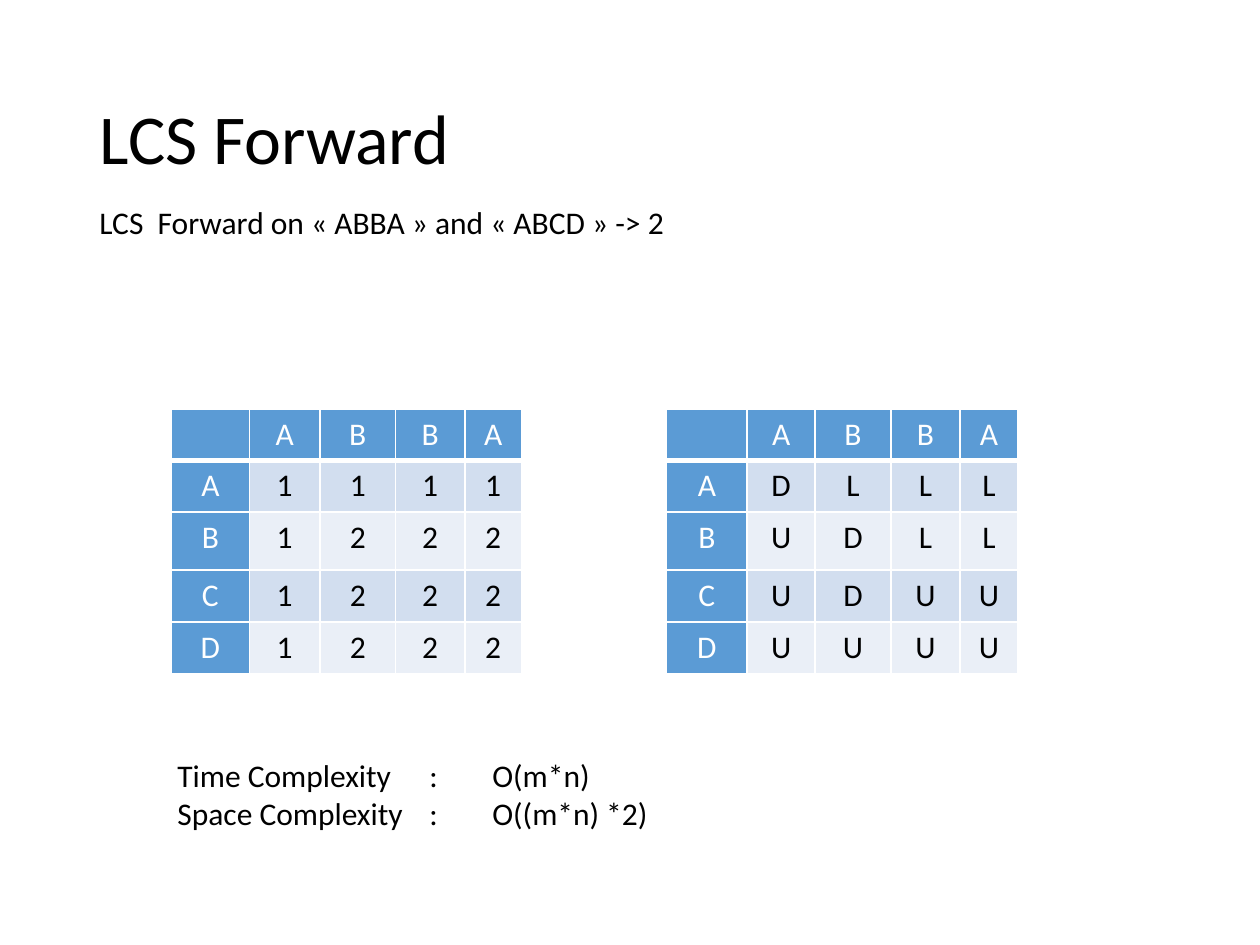
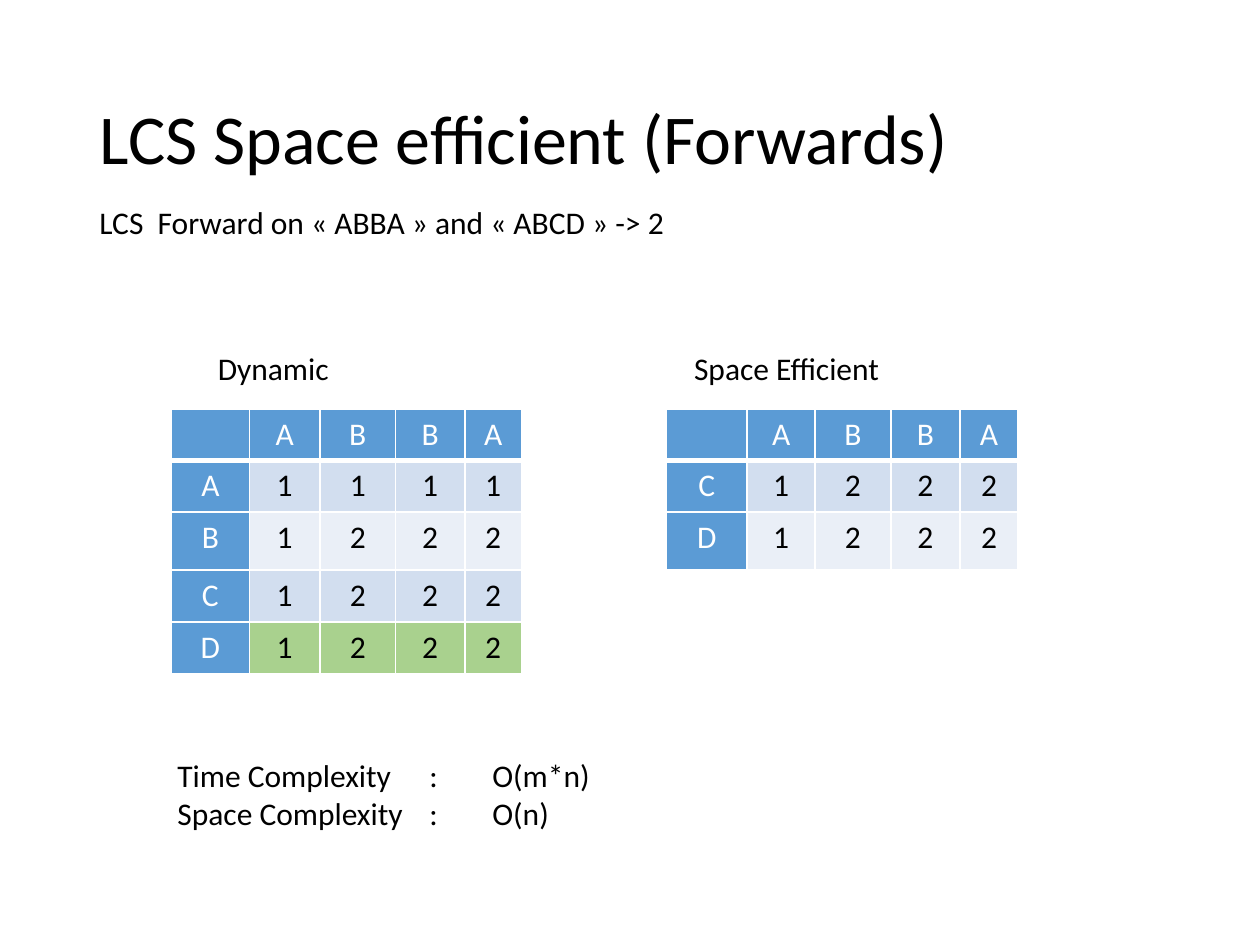
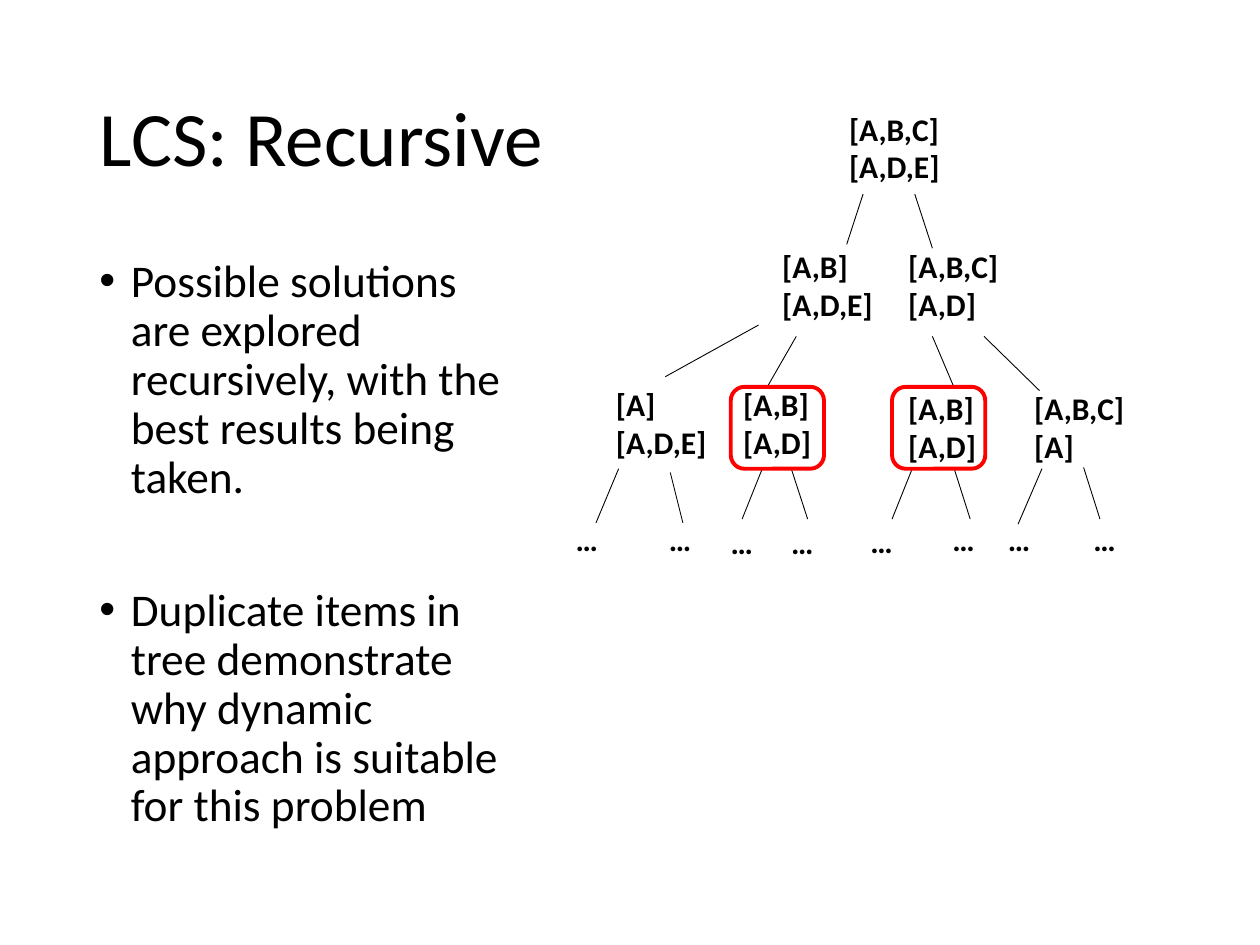
from lxml.etree import SubElement
from pptx import Presentation
from pptx.dml.color import RGBColor
from pptx.enum.shapes import MSO_CONNECTOR as Connector, MSO_SHAPE as Preset
from pptx.enum.text import MSO_ANCHOR as Anchor, MSO_AUTO_SIZE as AutoSize, PP_ALIGN as Align
from pptx.oxml.ns import qn
from pptx.util import Inches, Pt

BLACK = RGBColor(0x00, 0x00, 0x00)
WHITE = RGBColor(0xFF, 0xFF, 0xFF)
RED = RGBColor(0xFF, 0x00, 0x00)
HEADER_BLUE = RGBColor(0x5B, 0x9B, 0xD5)
BANDS = (RGBColor(0xD2, 0xDE, 0xEF), RGBColor(0xEA, 0xEF, 0xF7))
RESULT_GREEN = RGBColor(0xA9, 0xD1, 0x8E)

FONT = "Calibri"
GRID_COLUMNS, GRID_ROWS = 100, 75
TITLE_ONLY = 5
MARGIN = 6.9

TABLE_TOP = 32.5
ROW_HEIGHTS = (4, 4.1, 4.6, 4.1, 4.1)
LEFT_TABLE = (13.6, (6.2, 5.6, 6, 5.5, 4.5))
RIGHT_TABLE = (52.9, (6.4, 5.4, 6, 5.5, 4.6))
LENGTHS = ("1111", "1222", "1222", "1222")
DIRECTIONS = ("DLLL", "UDLL", "UDUU", "UUUU")


def assign(target, values):
    """Set every attribute of the target that the dict names."""
    for name, value in values.items():
        setattr(target, name, value)


class Deck:
    """Holds the presentation, its style and the current slide."""

    def __init__(self):
        """Start an empty presentation with its grid."""
        self.presentation = Presentation()
        assign(self.presentation, {"slide_width": Inches(10), "slide_height": Inches(7.5)})
        self.column = self.presentation.slide_width / GRID_COLUMNS
        self.row = self.presentation.slide_height / GRID_ROWS
        self.slide = None

    def place(self, *lengths):
        """Turn alternating columns and rows into lengths."""
        units = (self.column, self.row)
        return [round(value * units[i % 2]) for i, value in enumerate(lengths)]

    def style_text(self, paragraph, text, size=18, color=BLACK, bold=False, **layout):
        """Put formatted text in a paragraph."""
        assign(paragraph, layout)
        run = paragraph.add_run()
        run.text = text
        assign(run.font, {"name": FONT, "size": Pt(size), "bold": bold})
        run.font.color.rgb = color

    def add_slide(self, title, size=40):
        """Add a slide and format its title."""
        layout = self.presentation.slide_layouts[TITLE_ONLY]
        self.slide = self.presentation.slides.add_slide(layout)
        shape = self.slide.shapes.title
        left, top, width, height = self.place(MARGIN, 4, 86.2, 14.5)
        assign(shape, {"left": left, "top": top, "width": width, "height": height})
        assign(shape.text_frame, {"vertical_anchor": Anchor.MIDDLE, "auto_size": AutoSize.NONE})
        self.style_text(shape.text_frame.paragraphs[0], title, size,
                        alignment=Align.LEFT, line_spacing=0.9)

    def frame(self, box, wrap=True, auto_size=AutoSize.SHAPE_TO_FIT_TEXT):
        """Add a text box and return its frame."""
        text_frame = self.slide.shapes.add_textbox(*self.place(*box)).text_frame
        assign(text_frame, {"word_wrap": wrap, "auto_size": auto_size})
        return text_frame

    def text(self, box, *lines, wrap=True, bold=False):
        """Add a text box with one paragraph for each line."""
        text_frame = self.frame(box, wrap)
        for i, line in enumerate(lines):
            paragraph = text_frame.add_paragraph() if i else text_frame.paragraphs[0]
            self.style_text(paragraph, line, bold=bold, alignment=Align.LEFT)

    def bullets(self, box, items, size, gap):
        """Add a bulleted list with a gap between its items."""
        text_frame = self.frame(box, auto_size=AutoSize.NONE)
        for i, item in enumerate(items):
            paragraph = text_frame.add_paragraph() if i else text_frame.paragraphs[0]
            self.style_text(paragraph, item, size, alignment=Align.LEFT,
                            line_spacing=0.9, space_before=Pt(gap if i else 10))
            properties = paragraph._p.get_or_add_pPr()
            properties.set("marL", str(Inches(0.25)))
            properties.set("indent", str(-Inches(0.25)))
            SubElement(properties, qn("a:buFont")).set("typeface", "Arial")
            SubElement(properties, qn("a:buChar")).set("char", "•")

    def cell(self, cell, text, fill, color, bottom):
        """Fill a table cell, with white borders and centred text."""
        properties = cell._tc.get_or_add_tcPr()
        for side, width in (("L", 1), ("R", 1), ("T", 1), ("B", bottom)):
            border = SubElement(properties, qn("a:ln" + side), w=str(Pt(width)))
            solid = SubElement(border, qn("a:solidFill"))
            SubElement(solid, qn("a:srgbClr"), val=str(WHITE))
        cell.fill.solid()
        cell.fill.fore_color.rgb = fill
        if text:
            self.style_text(cell.text_frame.paragraphs[0], text, color=color,
                            alignment=Align.CENTER)

    def table(self, position, row_letters, values, last_fill=None):
        """Add an LCS table: ABBA across, the row letters down."""
        left, widths = position
        heights = ROW_HEIGHTS[:len(values) + 1]
        table = self.slide.shapes.add_table(
            len(heights), len(widths),
            *self.place(left, TABLE_TOP, sum(widths), sum(heights))).table
        table.horz_banding = False
        for column, width in zip(table.columns, widths):
            column.width = round(width * self.column)
        for row, height in zip(table.rows, heights):
            row.height = round(height * self.row)
        lines = [["", *"ABBA"]] + [[a, *b] for a, b in zip(row_letters, values)]
        for i, line in enumerate(lines):
            band = BANDS[(i - 1) % 2]
            if last_fill and i == len(values):
                band = last_fill
            for j, text in enumerate(line):
                header = i == 0 or j == 0
                self.cell(table.cell(i, j), text, HEADER_BLUE if header else band,
                          WHITE if header else BLACK, bottom=1 if i else 3)

    def line(self, start, end):
        """Draw a thin straight branch."""
        connector = self.slide.shapes.add_connector(
            Connector.STRAIGHT, *self.place(*start, *end))
        connector.line.width = Pt(0.5)
        connector.line.color.rgb = BLACK
        SubElement(connector.element.spPr, qn("a:effectLst"))

    def highlight(self, box):
        """Draw a red rounded outline."""
        shape = self.slide.shapes.add_shape(Preset.ROUNDED_RECTANGLE, *self.place(*box))
        shape.shadow.inherit = False
        shape.fill.background()
        shape.line.width = Pt(2.25)
        shape.line.color.rgb = RED

    def example(self, space):
        """Add the example line and the complexity lines."""
        self.text((MARGIN, 15.6, 53.8, 4),
                  "LCS  Forward on «\u00a0ABBA\u00a0» and «\u00a0ABCD\u00a0» -> 2")
        self.text((13.1, 59.5, 86, 7.1),
                  "Time Complexity \t:\tO(m*n)", f"Space Complexity \t: \t{space}")


def forward_slide(deck):
    """Build the slide with the length and direction tables."""
    deck.add_slide("LCS Forward")
    deck.table(RIGHT_TABLE, "ABCD", DIRECTIONS)
    deck.table(LEFT_TABLE, "ABCD", LENGTHS)
    deck.example("O((m*n) *2)")


def space_slide(deck):
    """Build the slide that compares full and two-row tables."""
    deck.add_slide("LCS Space efficient (Forwards)")
    deck.table(RIGHT_TABLE, "CD", LENGTHS[2:])
    deck.table(LEFT_TABLE, "ABCD", LENGTHS, RESULT_GREEN)
    deck.example("O(n)")
    deck.text((16.3, 27.2, 11.5, 4), "Dynamic", wrap=False)
    deck.text((54.1, 27.2, 16.9, 4), "Space Efficient", wrap=False)


def recursive_slide(deck):
    """Build the slide with the recursion tree."""
    deck.add_slide("LCS: Recursive", 44)
    deck.bullets((MARGIN, 20, 34.1, 47.6), (
        "Possible solutions are explored recursively, with the best results being taken.",
        "Duplicate items in tree demonstrate why dynamic approach is suitable for this problem",
    ), size=25.9, gap=48)

    nodes = (
        (66.4, 8.2, 9.3, "[A,B,C]", "[A,D,E]"),
        (61.1, 19.1, 9.3, "[A,B]", "[A,D,E]"),
        (71.1, 19.1, 9.2, "[A,B,C]", "[A,D]"),
        (47.9, 30.1, 9.3, "[A]", "[A,D,E]"),
        (58, 30.1, 7.5, "[A,B]", "[A,D]"),
        (71.1, 30.4, 7.5, "[A,B]", "[A,D]"),
        (81.1, 30.4, 9.2, "[A,B,C]", "[A]"),
    )
    for left, top, width, first, second in nodes:
        deck.text((left, top, width, 7.1), first, second, wrap=False, bold=True)

    branches = (
        ((68.5, 15.4), (67.2, 19.4)), ((72.6, 15.4), (74, 19.7)),
        ((60.2, 25.8), (52.8, 29.9)), ((63.2, 26.7), (60.9, 30.7)),
        ((74, 26.7), (75.7, 30.7)), ((78.1, 26.7), (82.5, 31)),
        ((49.1, 37.2), (47.3, 41.5)), ((53.2, 37.5), (54.2, 41.5)),
        ((60.5, 37.2), (58.9, 41.2)), ((62.8, 37.2), (64.1, 41.2)),
        ((72.4, 37.2), (70.8, 41.2)), ((75.7, 37.1), (77, 41.2)),
        ((82.7, 37.2), (80.8, 41.6)), ((86, 37.1), (87.3, 41.2)),
    )
    for start, end in branches:
        deck.line(start, end)

    leaves = ((44.7, 40.8), (52.1, 40.8), (57, 41), (61.8, 41),
              (68.1, 40.9), (74.6, 40.8), (79, 40.8), (85.8, 40.8))
    for left, top in leaves:
        deck.text((left, top, 9.2, 4), "…", bold=True)

    for left in (58, 70.8):
        deck.highlight((left, 30.7, 7.4, 6.5))


deck = Deck()
for build in (forward_slide, space_slide, recursive_slide):
    build(deck)
deck.presentation.save("out.pptx")
